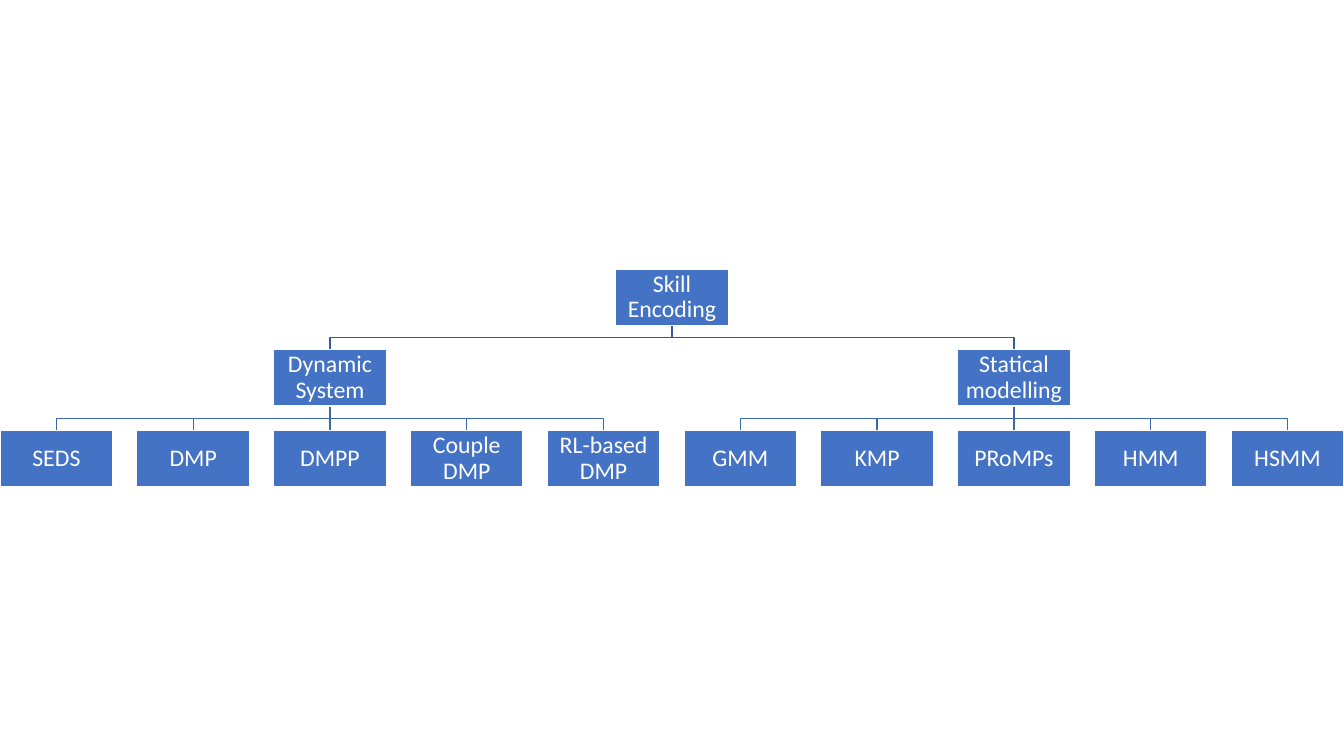
"""Build a slide with a three-level tree of skill encoding methods."""
from dataclasses import dataclass

from pptx import Presentation
from pptx.dml.color import RGBColor
from pptx.enum import shapes, text
from pptx.oxml import ns
from pptx.util import Pt
from lxml import etree


@dataclass(frozen=True)
class Theme:
    box: RGBColor = RGBColor(0x44, 0x72, 0xC4)
    paper: RGBColor = RGBColor(0xFF, 0xFF, 0xFF)
    upper_link: RGBColor = RGBColor(0x36, 0x5B, 0x9D)
    lower_link: RGBColor = RGBColor(0x3E, 0x67, 0xB2)
    font: str = "Calibri"
    size: int = 17


theme = Theme()
slide_width, slide_height = 960, 540
box_width, box_height = 80.6, 40.3
first_row, row_step = 192.2, 57.6
root = "Skill Encoding"
branches = {
    "Dynamic System": ["SEDS", "DMP", "DMPP", "Couple DMP", "RL-based DMP"],
    "Statical modelling": ["GMM", "KMP", "PRoMPs", "HMM", "HSMM"],
}
leaf_count = sum(len(methods) for methods in branches.values())
column_step = (slide_width - box_width) / (leaf_count - 1)

deck = Presentation()
deck.slide_width, deck.slide_height = Pt(slide_width), Pt(slide_height)
slide = deck.slides.add_slide(deck.slide_layouts[6])


def add_link(parent_column, child_column, level, color):
    """Join a parent on the given level to a child one level below."""
    start_x, end_x = (Pt(box_width / 2 + column * column_step)
                      for column in (parent_column, child_column))
    start_y = Pt(first_row + level * row_step + box_height)
    end_y = Pt(first_row + (level + 1) * row_step)
    middle_y = (start_y + end_y) // 2
    if start_x == end_x:
        link = slide.shapes.add_connector(
            shapes.MSO_CONNECTOR.STRAIGHT, start_x, start_y, end_x, end_y)
        etree.SubElement(link.element.spPr, ns.qn("a:effectLst"))
    else:
        outline = slide.shapes.build_freeform(start_x, start_y)
        outline.add_line_segments(
            [(start_x, middle_y), (end_x, middle_y), (end_x, end_y)], close=False)
        link = outline.convert_to_shape()
        link.fill.background()
        link.shadow.inherit = False
    link.line.color.rgb = color
    link.line.width = Pt(1)


def add_box(label, column, level):
    """Place a labelled box in a column of a level."""
    box = slide.shapes.add_shape(
        shapes.MSO_SHAPE.RECTANGLE, Pt(column * column_step),
        Pt(first_row + level * row_step), Pt(box_width), Pt(box_height))
    box.shadow.inherit = False
    box.fill.solid()
    box.fill.fore_color.rgb = theme.box
    box.line.color.rgb = theme.paper
    box.line.width = Pt(1)
    frame = box.text_frame
    frame.word_wrap = True
    frame.vertical_anchor = text.MSO_ANCHOR.MIDDLE
    frame.margin_left = frame.margin_right = Pt(0.8)
    frame.margin_top = frame.margin_bottom = Pt(0.8)
    paragraph = frame.paragraphs[0]
    paragraph.alignment = text.PP_ALIGN.CENTER
    paragraph.line_spacing = 0.9
    run = paragraph.add_run()
    run.text = label
    run.font.name = theme.font
    run.font.size = Pt(theme.size)
    run.font.color.rgb = theme.paper


root_column = (leaf_count - 1) / 2
nodes = [(root, root_column, 0)]
first_column = 0
for branch, methods in branches.items():
    branch_column = first_column + (len(methods) - 1) / 2
    add_link(root_column, branch_column, 0, theme.upper_link)
    nodes.append((branch, branch_column, 1))
    for column, method in enumerate(methods, first_column):
        add_link(branch_column, column, 1, theme.lower_link)
        nodes.append((method, column, 2))
    first_column += len(methods)

for label, column, level in nodes:
    add_box(label, column, level)

deck.save("out.pptx")
